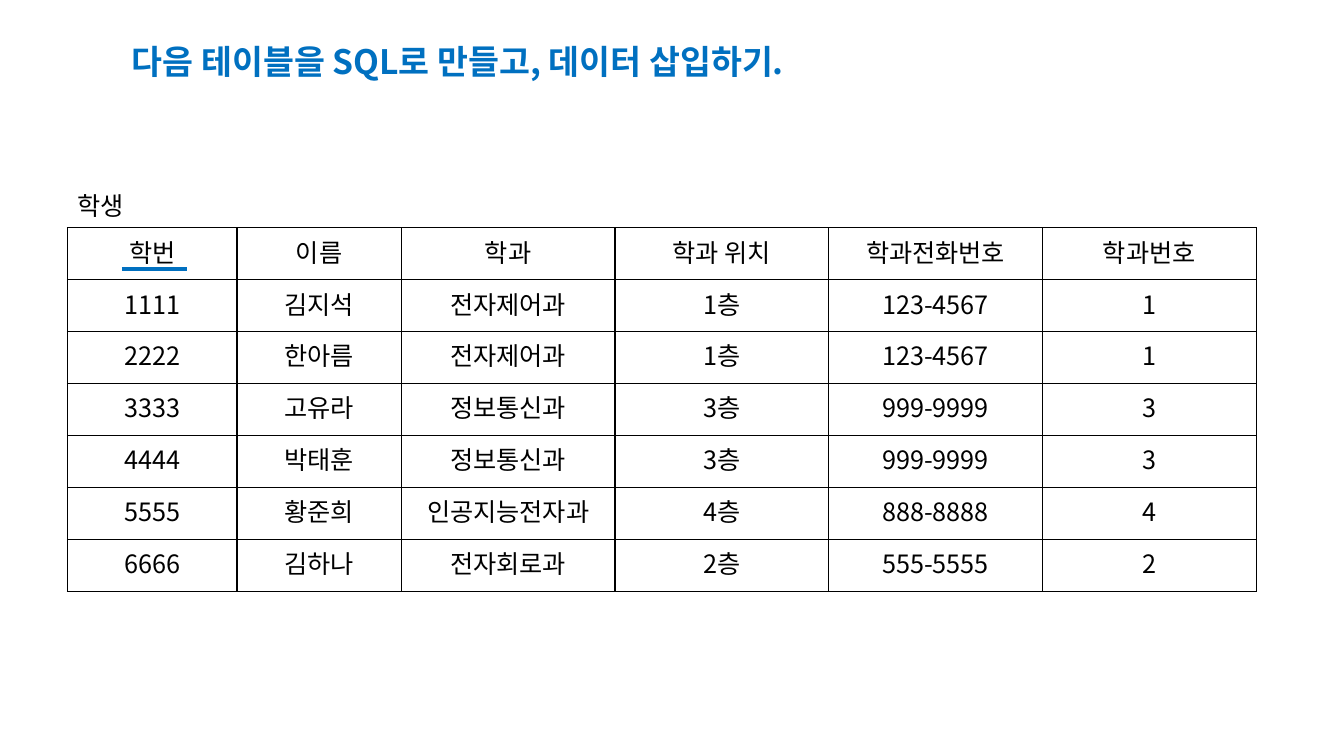
from dataclasses import dataclass

from lxml.etree import SubElement
from pptx import Presentation
from pptx.dml.color import RGBColor
from pptx.enum.shapes import MSO_CONNECTOR
from pptx.enum.text import MSO_AUTO_SIZE, PP_ALIGN
from pptx.oxml import parse_xml
from pptx.oxml.ns import nsdecls, qn
from pptx.util import Inches, Pt


@dataclass(frozen=True)
class Theme:
    font: str = "Noto Sans CJK KR"
    ink: str = "000000"
    accent: str = "0070C0"
    title_size: int = 24
    body_size: int = 18
    border_width: int = 1
    key_width: int = 3


theme = Theme()


def write(tf, text, color=theme.ink, size=theme.body_size, bold=False, align=PP_ALIGN.LEFT):
    p = tf.paragraphs[0]
    p.alignment = align
    r = p.add_run()
    r.text = text
    for name, value in {"name": theme.font, "size": Pt(size), "bold": bold}.items():
        setattr(r.font, name, value)
    r.font.color.rgb = RGBColor.from_string(color)
    SubElement(r.font._element, qn("a:ea"), typeface=theme.font)


def add_border(cell, side):
    cell._tc.get_or_add_tcPr().append(parse_xml(
        f'<a:{side} {nsdecls("a")} w="{Pt(theme.border_width)}">'
        f'<a:solidFill><a:srgbClr val="{theme.ink}"/></a:solidFill></a:{side}>'))


prs = Presentation()
prs.slide_width, prs.slide_height = Inches(13.33), Inches(7.5)
s = prs.slides.add_slide(prs.slide_layouts[6])

# Student table
students = [
    ("학번", "이름", "학과", "학과 위치", "학과전화번호", "학과번호"),
    ("1111", "김지석", "전자제어과", "1층", "123-4567", "1"),
    ("2222", "한아름", "전자제어과", "1층", "123-4567", "1"),
    ("3333", "고유라", "정보통신과", "3층", "999-9999", "3"),
    ("4444", "박태훈", "정보통신과", "3층", "999-9999", "3"),
    ("5555", "황준희", "인공지능전자과", "4층", "888-8888", "4"),
    ("6666", "김하나", "전자회로과", "2층", "555-5555", "2"),
]
col_widths = [1.68, 1.63] + [2.12] * 4
table = s.shapes.add_table(len(students), len(col_widths), Inches(0.67), Inches(2.26),
                           Inches(11.78), Inches(3.61)).table
table.first_row = table.horz_banding = False
for col, width in zip(table.columns, col_widths):
    col.width = Inches(width)
for i, student in enumerate(students):
    for j, value in enumerate(student):
        cell = table.cell(i, j)
        write(cell.text_frame, value, align=PP_ALIGN.CENTER)
        for side in ("lnL", "lnR", "lnT", "lnB"):
            add_border(cell, side)
        cell.fill.background()

# Underline of the primary key
key_line = s.shapes.add_connector(MSO_CONNECTOR.STRAIGHT, Inches(1.21), Inches(2.67),
                                  Inches(1.85), Inches(2.67))
key_line.line.color.rgb = RGBColor.from_string(theme.accent)
key_line.line.width = Pt(theme.key_width)
SubElement(key_line._element.spPr, qn("a:effectLst"))

# Table name and slide title
title_style = {"color": theme.accent, "size": theme.title_size, "bold": True}
for text, box, style in [
    ("학생", (0.67, 1.84, 0.71, 0.4), {}),
    ("다음 테이블을 SQL로 만들고, 데이터 삽입하기.", (1.21, 0.36, 7.32, 0.5), title_style),
]:
    tf = s.shapes.add_textbox(*map(Inches, box)).text_frame
    tf.word_wrap = False
    tf.auto_size = MSO_AUTO_SIZE.SHAPE_TO_FIT_TEXT
    write(tf, text, **style)

prs.save("out.pptx")
